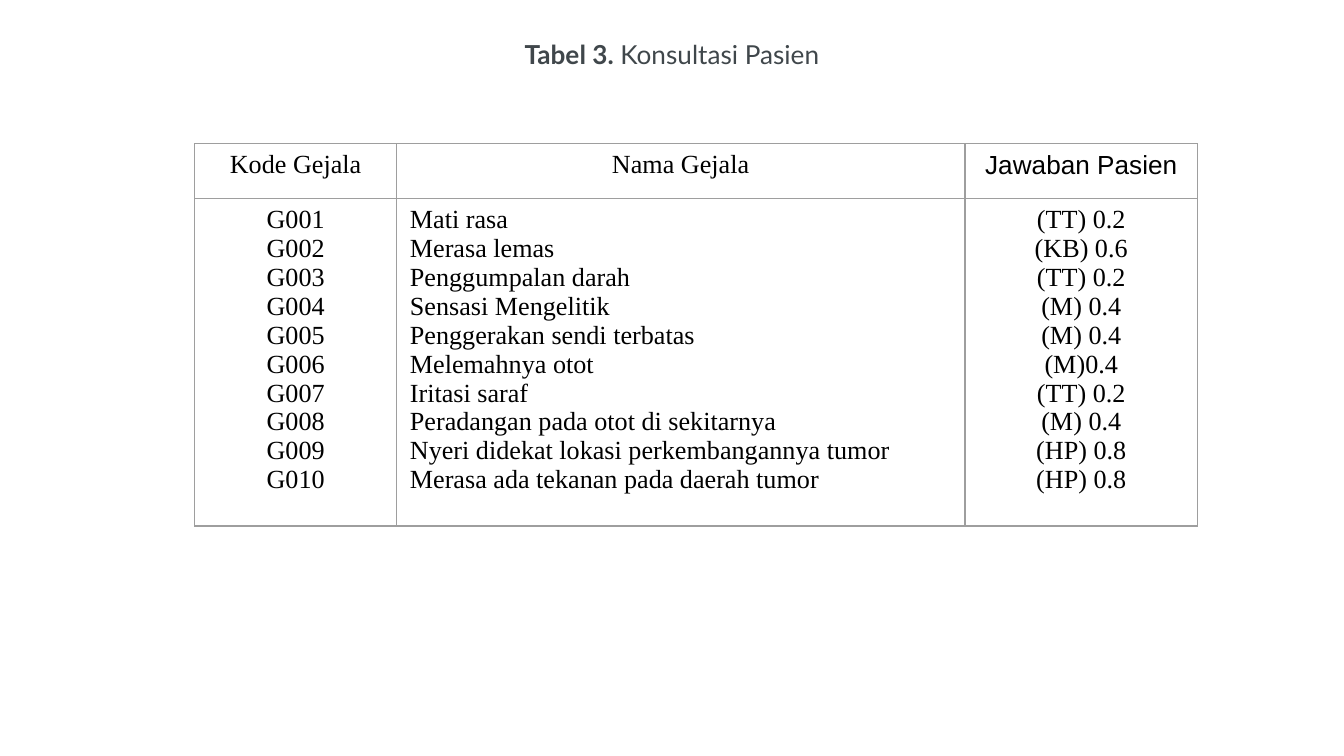
from pptx import Presentation
from pptx.dml.color import RGBColor
from pptx.enum.text import MSO_ANCHOR as Anchor, PP_ALIGN as Align
from pptx.oxml import parse_xml
from pptx.oxml.ns import nsdecls
from pptx.util import Pt

# Content
COLORS = {"title": "40474B", "text": "000000", "border": "9E9E9E"}
TITLE = [("Tabel 3. ", True), ("Konsultasi Pasien", False)]
SERIF, SANS = "Times New Roman", "Arial"
# heading, heading font, width, body alignment
COLUMNS = [
    ("Kode Gejala", SERIF, 108, Align.CENTER),
    ("Nama Gejala", SERIF, 304.6, Align.LEFT),
    ("Jawaban Pasien", SANS, 124.6, Align.CENTER),
]
SYMPTOMS = [
    ("G001", "Mati rasa", "(TT) 0.2"),
    ("G002", "Merasa lemas", "(KB) 0.6"),
    ("G003", "Penggumpalan darah", "(TT) 0.2"),
    ("G004", "Sensasi Mengelitik", "(M) 0.4"),
    ("G005", "Penggerakan sendi terbatas", "(M) 0.4"),
    ("G006", "Melemahnya otot", "(M)0.4"),
    ("G007", "Iritasi saraf", "(TT) 0.2"),
    ("G008", "Peradangan pada otot di sekitarnya", "(M) 0.4"),
    ("G009", "Nyeri didekat lokasi perkembangannya tumor", "(HP) 0.8"),
    ("G010", "Merasa ada tekanan pada daerah tumor", "(HP) 0.8"),
]
ROW_HEIGHTS = [29.5, 175]
TABLE_LEFT, TABLE_TOP = 104.4, 77


def add_span(para, text, font, color, bold=False):
    span = para.add_run()
    span.text = text
    span.font.name = font
    span.font.size = Pt(14)
    span.font.bold = bold
    span.font.color.rgb = RGBColor.from_string(COLORS[color])


def fill_cell(cell, lines, font, align):
    cell.fill.background()
    cell.vertical_anchor = Anchor.TOP
    frame = cell.text_frame
    for index, line in enumerate(lines):
        para = frame.add_paragraph() if index else frame.paragraphs[0]
        para.alignment = align
        add_span(para, line, font, "text")
    # Borders come before the fill in the cell properties
    for index, side in enumerate(("lnL", "lnR", "lnT", "lnB")):
        border = parse_xml(
            f'<a:{side} {nsdecls("a")} w="{Pt(0.75)}"><a:solidFill>'
            f'<a:srgbClr val="{COLORS["border"]}"/></a:solidFill></a:{side}>')
        cell._tc.get_or_add_tcPr().insert(index, border)


deck = Presentation()
deck.slide_width, deck.slide_height = Pt(720), Pt(405)
page = deck.slides.add_slide(deck.slide_layouts[6])

# Title
box = page.shapes.add_textbox(Pt(56), Pt(14), Pt(608), Pt(30))
box.text_frame.word_wrap = True
box.text_frame.vertical_anchor = Anchor.MIDDLE
heading = box.text_frame.paragraphs[0]
heading.alignment = Align.CENTER
for text, bold in TITLE:
    add_span(heading, text, "Lato", "title", bold)

# Table: a heading row, and one row that lists all symptoms
table_width = sum(column[2] for column in COLUMNS)
table = page.shapes.add_table(
    len(ROW_HEIGHTS), len(COLUMNS), Pt(TABLE_LEFT), Pt(TABLE_TOP),
    Pt(table_width), Pt(sum(ROW_HEIGHTS))).table
table.first_row = table.horz_banding = False
for row, height in zip(table.rows, ROW_HEIGHTS):
    row.height = Pt(height)
for index, (name, font, width, align) in enumerate(COLUMNS):
    table.columns[index].width = Pt(width)
    fill_cell(table.cell(0, index), [name], font, Align.CENTER)
    fill_cell(table.cell(1, index), [row[index] for row in SYMPTOMS], SERIF, align)

deck.save("out.pptx")
